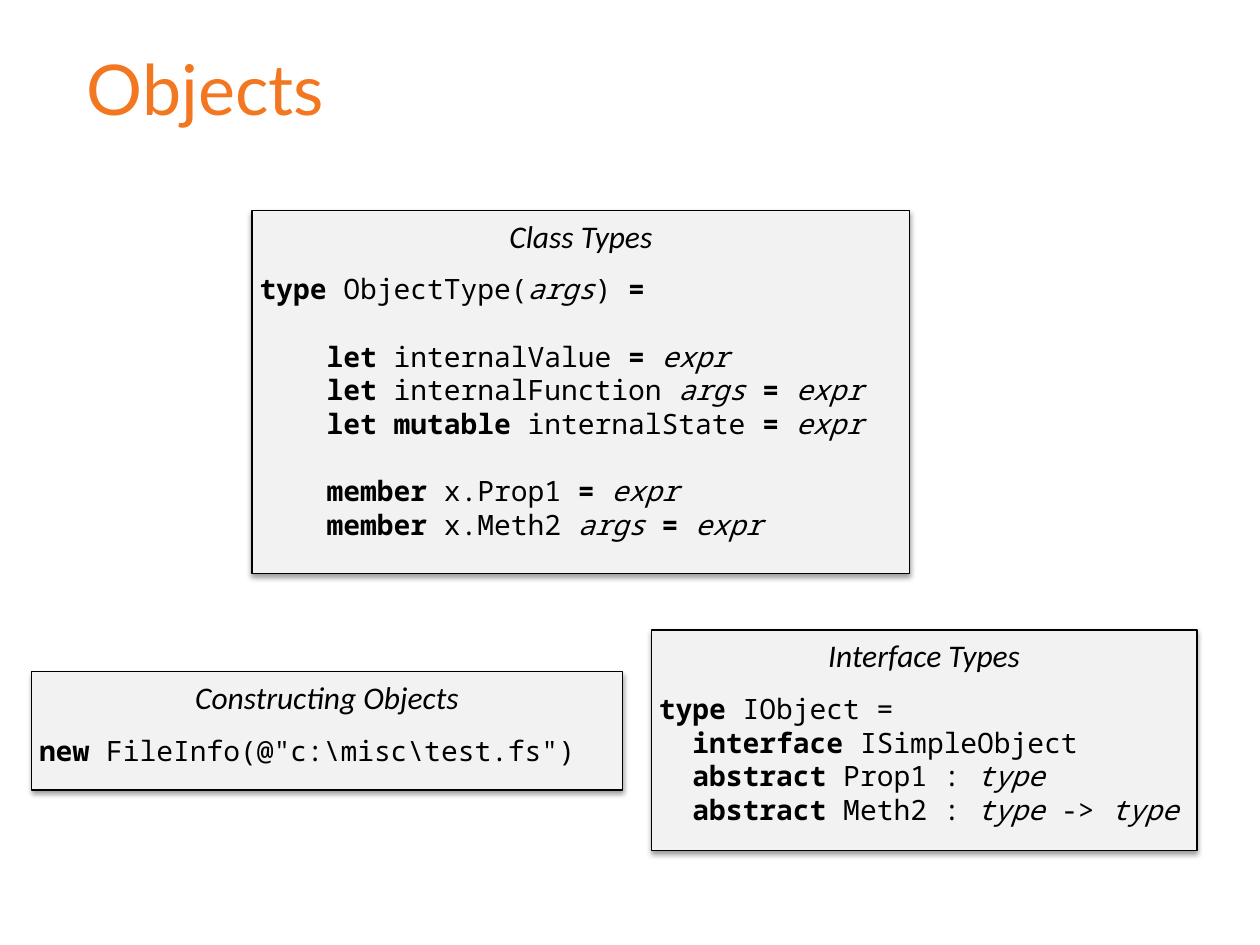
import pptx
import pptx.dml.color
import pptx.enum.shapes
import pptx.enum.text
import pptx.util
from dataclasses import dataclass
from lxml import etree
from pptx.util import Inches, Pt


@dataclass(frozen=True)
class Theme:
    """Colours, fonts and type sizes of the slide."""
    accent: str = "F37720"
    ink: str = "000000"
    panel: str = "F2F2F2"
    title_font: str = "Lato"
    heading_font: str = "Calibri"
    code_font: str = "Noto Sans Mono"
    title_size: int = 40
    heading_size: int = 18
    code_size: int = 16
    code_gap: float = 19.2


THEME = Theme()

CLASS_TYPES = """*type *ObjectType(_args_) *=*

    *let *internalValue *= *_expr_
    *let *internalFunction _args _*= *_expr_
    *let mutable *internalState *= *_expr_

    *member* x.Prop1 *= *_expr_
    *member* x.Meth2 _args _*= *_expr_"""

INTERFACE_TYPES = """*type *IObject =
  *interface *ISimpleObject
  *abstract* Prop1 : _type_
  *abstract* Meth2 : _type_ -> _type_"""

CONSTRUCTING = r'*new *FileInfo(@"c:\misc\test.fs")'


def rgb(value):
    """Return a colour from its hex value."""
    return pptx.dml.color.RGBColor.from_string(value)


def style(paragraph, font_name, size, color):
    """Set the font shared by all runs of a paragraph."""
    font = paragraph.font
    font.name, font.size = font_name, Pt(size)
    font.color.rgb = rgb(color)


def add_title(slide, text):
    """Place and format the slide title."""
    title = slide.shapes.title
    title.left, title.top = Inches(0.59), Inches(0.31)
    title.width, title.height = Inches(8.8), Inches(1.25)
    frame = title.text_frame
    frame.text = text
    frame.vertical_anchor = pptx.enum.text.MSO_ANCHOR.TOP
    heading = frame.paragraphs[0]
    heading.alignment = pptx.enum.text.PP_ALIGN.LEFT
    style(heading, THEME.title_font, THEME.title_size, THEME.accent)


def add_shadow(shape):
    """Give a shape a soft shadow falling straight down."""
    shape.shadow.inherit = False
    effects = shape._element.spPr.find(pptx.oxml.ns.qn("a:effectLst"))
    shadow = etree.SubElement(
        effects, pptx.oxml.ns.qn("a:outerShdw"), blurRad=str(Pt(3.1)),
        dist=str(Pt(1.6)), dir=str(90 * 60000), rotWithShape="0")
    color = etree.SubElement(shadow, pptx.oxml.ns.qn("a:srgbClr"), val=THEME.ink)
    etree.SubElement(color, pptx.oxml.ns.qn("a:alpha"), val="38000")


def add_code_line(frame, line, space_before):
    """Add a code line in which *bold* and _italic_ parts are marked."""
    paragraph = frame.add_paragraph()
    paragraph.alignment = pptx.enum.text.PP_ALIGN.LEFT
    paragraph.space_before = Pt(space_before)
    style(paragraph, THEME.code_font, THEME.code_size, THEME.ink)
    for i, part in enumerate(line.split("*")):
        for j, piece in enumerate(part.split("_")):
            if piece:
                run = paragraph.add_run()
                run.text = piece
                run.font.bold = i % 2 == 1
                run.font.italic = j % 2 == 1


def add_panel(slide, heading, code, left, top, width, height):
    """Add a shaded panel with an italic heading above its code."""
    panel = slide.shapes.add_shape(
        pptx.enum.shapes.MSO_SHAPE.RECTANGLE,
        Inches(left), Inches(top), Inches(width), Inches(height))
    panel.fill.solid()
    panel.fill.fore_color.rgb = rgb(THEME.panel)
    panel.line.color.rgb = rgb(THEME.ink)
    panel.line.width = Pt(0.75)
    add_shadow(panel)

    frame = panel.text_frame
    frame.word_wrap = True
    frame.vertical_anchor = pptx.enum.text.MSO_ANCHOR.TOP
    frame.margin_left = frame.margin_right = Inches(0.06)
    frame.margin_top = frame.margin_bottom = Inches(0.05)

    caption = frame.paragraphs[0]
    caption.text = heading
    caption.alignment = pptx.enum.text.PP_ALIGN.CENTER
    caption.space_after = Pt(10)
    style(caption, THEME.heading_font, THEME.heading_size, THEME.ink)
    caption.font.italic = True

    for group_index, group in enumerate(code.split("\n\n")):
        for line_index, line in enumerate(group.split("\n")):
            starts_group = group_index > 0 and line_index == 0
            add_code_line(frame, line, THEME.code_gap if starts_group else 0)


def main():
    """Build and save the slide on objects."""
    deck = pptx.Presentation()
    deck.slide_width, deck.slide_height = Inches(10), Inches(7.5)
    slide = deck.slides.add_slide(deck.slide_layouts.get_by_name("Title Only"))
    add_title(slide, "Objects")
    add_panel(slide, "Interface Types", INTERFACE_TYPES, 5.17, 5, 4.33, 1.75)
    add_panel(slide, "Class Types", CLASS_TYPES, 2, 1.67, 5.22, 2.88)
    add_panel(slide, "Constructing Objects", CONSTRUCTING, 0.25, 5.33, 4.69, 0.94)
    deck.save("out.pptx")


if __name__ == "__main__":
    main()
